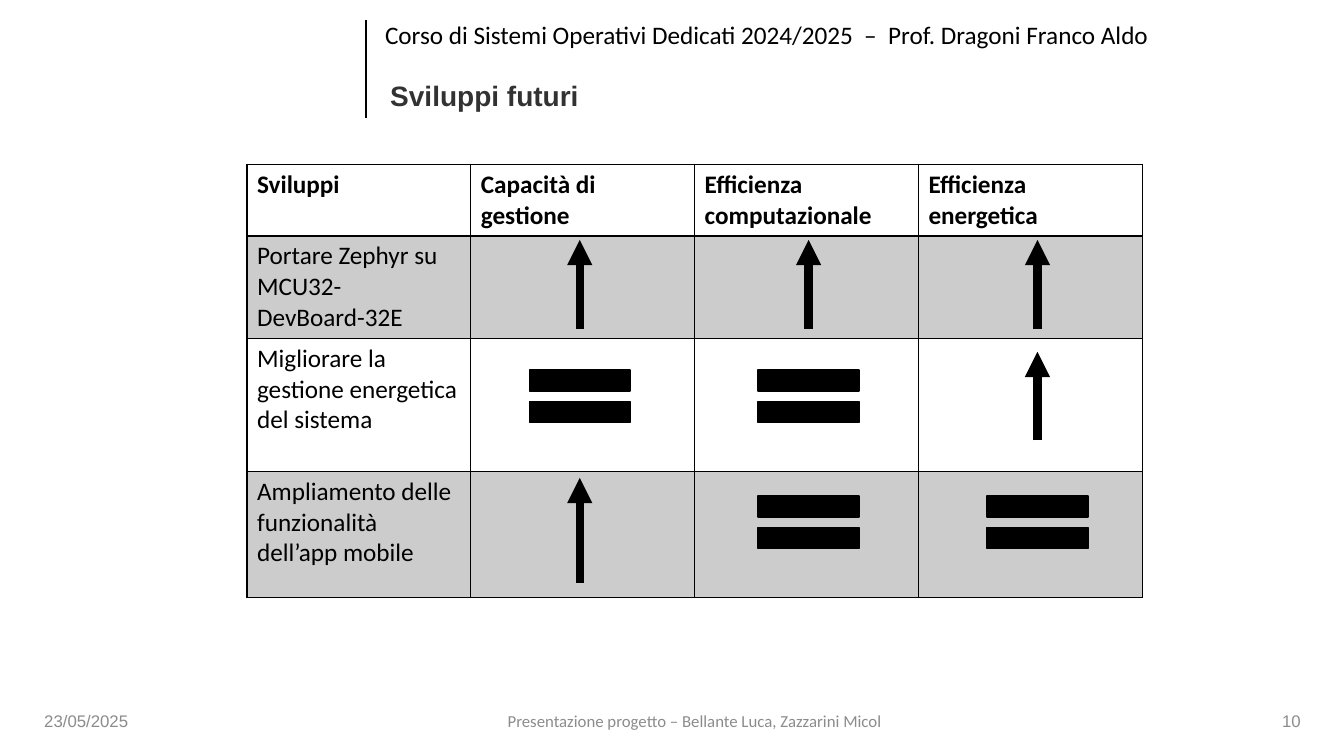
"""Build the future developments slide with its comparison table."""
from lxml import etree
from pptx import Presentation
from pptx import util as u
from pptx.dml.color import RGBColor
from pptx.enum import shapes, text
from pptx.oxml import ns

BLACK = RGBColor(0x00, 0x00, 0x00)
WHITE = RGBColor(0xFF, 0xFF, 0xFF)
DARK = RGBColor(0x32, 0x32, 0x32)
GRAY = RGBColor(0x8C, 0x8C, 0x8C)
BAND = RGBColor(0xCC, 0xCC, 0xCC)

HEADERS = ["Sviluppi", "Capacità di gestione", "Efficienza computazionale", "Efficienza energetica"]
DEVELOPMENTS = [
    "Portare Zephyr su MCU32-DevBoard-32E",
    "Migliorare la gestione energetica del sistema",
    "Ampliamento delle funzionalità dell’app mobile",
]
EFFECTS = [
    (2.38, 0.88, ["up", "up", "up"]),
    (3.49, 0.88, ["equal", "equal", "up"]),
    (4.74, 1.04, ["up", "equal", "equal"]),
]
COL_WIDTH = 2.22
ROW_HEIGHTS = [0.71, 1.01, 1.32, 1.25]
FIRST_CENTER, CENTER_STEP = 5.75, 2.27
EQUAL_WIDTH, EQUAL_HEIGHT = 1.36, 0.88


class SlideBuilder:
    """Holds the slide and the style of its elements."""

    def __init__(self, prs):
        self.s = prs.slides.add_slide(prs.slide_layouts[5])

    def add_text(self, tf, content, size=18, font="Calibri", color=BLACK, bold=False,
                 align=text.PP_ALIGN.LEFT):
        p = tf.paragraphs[0]
        p.alignment = align
        r = p.add_run()
        r.text = content
        r.font.size = u.Pt(size)
        r.font.name = font
        r.font.bold = bold
        r.font.color.rgb = color
        return p

    def place(self, sp, x, y, w, h):
        sp.left, sp.top, sp.width, sp.height = map(u.Inches, (x, y, w, h))
        tf = sp.text_frame
        tf.word_wrap = True
        tf.auto_size = text.MSO_AUTO_SIZE.NONE
        tf.vertical_anchor = text.MSO_ANCHOR.MIDDLE
        return tf

    def title(self, box, content):
        tf = self.place(self.s.shapes.title, *box)
        self.add_text(tf, content, 20, "Arial", DARK, True).line_spacing = 0.9

    def label(self, box, content, **style):
        sp = self.s.shapes.add_textbox(0, 0, 0, 0)
        self.add_text(self.place(sp, *box), content, **style)

    def line(self, x, y1, y2, width, arrow=False):
        sp = self.s.shapes.add_connector(
            shapes.MSO_CONNECTOR.STRAIGHT, u.Inches(x), u.Inches(y1), u.Inches(x), u.Inches(y2))
        sp.line.color.rgb = BLACK
        sp.line.width = u.Pt(width)
        if arrow:
            ln = sp._element.spPr.find(ns.qn("a:ln"))
            etree.SubElement(ln, ns.qn("a:tailEnd"), type="triangle")
        etree.SubElement(sp._element.spPr, ns.qn("a:effectLst"))

    def equal(self, center, y):
        sp = self.s.shapes.add_shape(
            shapes.MSO_SHAPE.MATH_EQUAL, u.Inches(center - EQUAL_WIDTH / 2), u.Inches(y),
            u.Inches(EQUAL_WIDTH), u.Inches(EQUAL_HEIGHT))
        sp.shadow.inherit = False
        sp.fill.solid()
        sp.fill.fore_color.rgb = BLACK
        sp.line.color.rgb = BLACK
        sp.line.width = u.Pt(1)

    def borders(self, cell, top, bottom):
        tcPr = cell._tc.get_or_add_tcPr()
        for side, width in (("L", 1), ("R", 1), ("T", top), ("B", bottom)):
            ln = etree.SubElement(tcPr, ns.qn(f"a:ln{side}"), w=str(u.Pt(width)))
            fill = etree.SubElement(ln, ns.qn("a:solidFill"))
            etree.SubElement(fill, ns.qn("a:srgbClr"), val=str(BLACK))

    def table(self, x, y, rows):
        frame = self.s.shapes.add_table(
            len(rows), len(rows[0]), u.Inches(x), u.Inches(y),
            u.Inches(COL_WIDTH * len(rows[0])), u.Inches(sum(ROW_HEIGHTS)))
        table = frame.table
        for col in table.columns:
            col.width = u.Inches(COL_WIDTH)
        for i, row in enumerate(rows):
            table.rows[i].height = u.Inches(ROW_HEIGHTS[i])
            for j, content in enumerate(row):
                cell = table.cell(i, j)
                self.borders(cell, 2 if i == 1 else 1, 2 if i == 0 else 1)
                cell.fill.solid()
                cell.fill.fore_color.rgb = BAND if i % 2 else WHITE
                if content:
                    self.add_text(cell.text_frame, content, bold=i == 0)


def main():
    prs = Presentation()
    prs.slide_width, prs.slide_height = u.Inches(13.33), u.Inches(7.5)
    b = SlideBuilder(prs)
    b.line(3.63, 0.2, 1.17, 1)
    b.title((3.77, 0.76, 9.32, 0.41), "Sviluppi futuri")
    b.label((0.34, 6.95, 1.12, 0.4), "23/05/2025", size=12, font="Arial", color=GRAY)
    b.label((1.55, 6.95, 10.68, 0.4), "Presentazione progetto – Bellante Luca, Zazzarini Micol",
            size=12, color=GRAY, align=text.PP_ALIGN.CENTER)
    b.label((12.33, 6.95, 0.67, 0.4), "10", size=12, font="Arial", color=GRAY,
            align=text.PP_ALIGN.RIGHT)
    b.label((3.72, 0, 9.41, 0.68),
            "Corso di Sistemi Operativi Dedicati 2024/2025  –  Prof. Dragoni Franco Aldo")
    b.table(2.45, 1.63, [HEADERS] + [[name, "", "", ""] for name in DEVELOPMENTS])
    for top, length, effects in EFFECTS:
        for i, effect in enumerate(effects):
            center = FIRST_CENTER + i * CENTER_STEP
            if effect == "up":
                b.line(center, top + length, top, 6, arrow=True)
            else:
                b.equal(center, top)
    prs.save("out.pptx")


if __name__ == "__main__":
    main()
